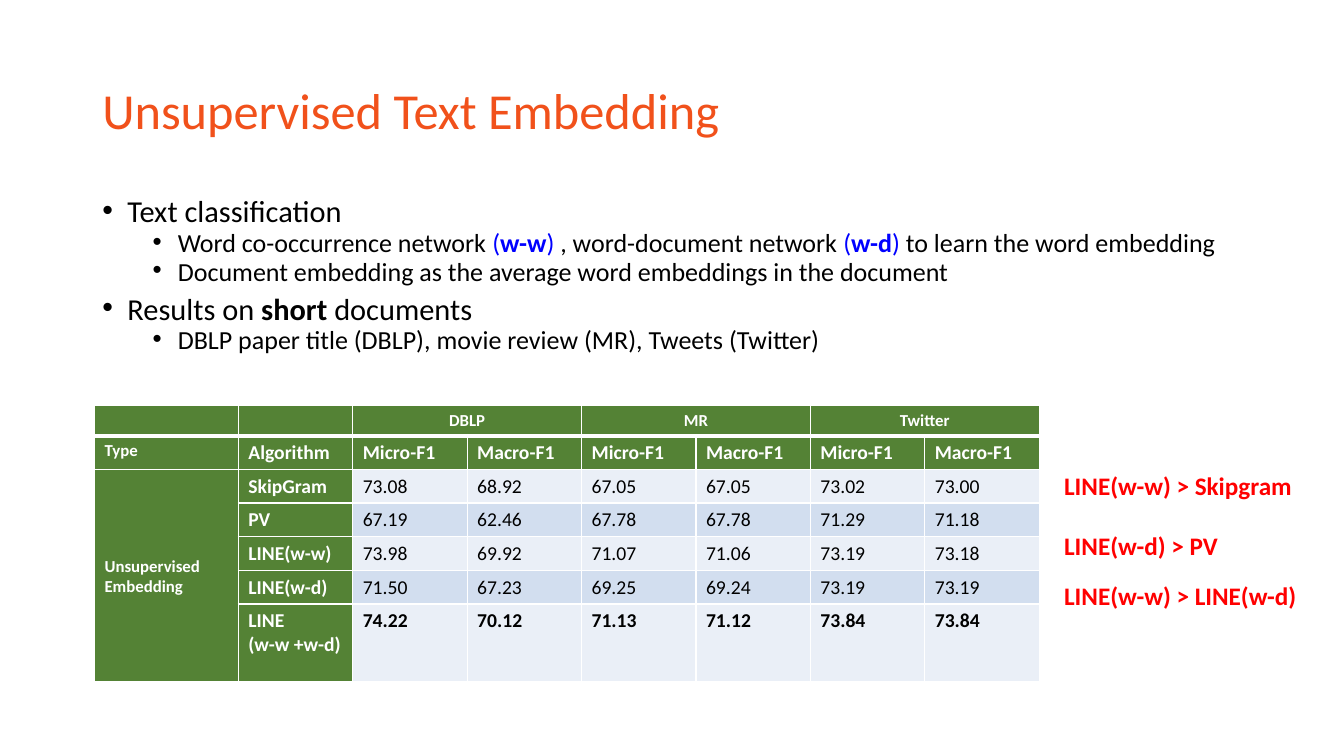
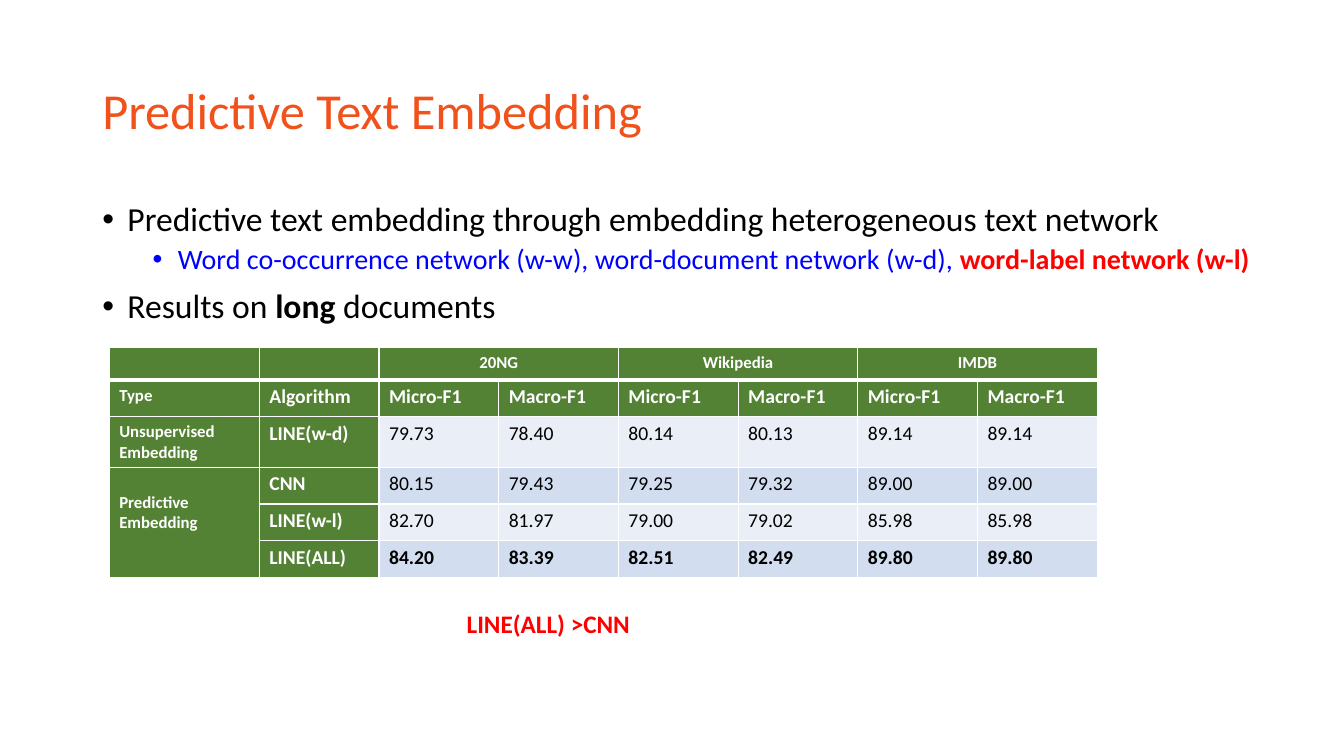
from dataclasses import dataclass

from lxml.etree import SubElement
from pptx import Presentation
from pptx.dml.color import RGBColor as RGB
from pptx.enum.text import MSO_ANCHOR as ANCHOR, PP_ALIGN as ALIGN
from pptx.oxml.ns import qn
from pptx.util import Pt

PX = 9525  # EMU per px, 96 px to the inch


@dataclass(frozen=True)
class Theme:
    font: str = "Calibri"
    title: str = "F1511B"
    text: str = "000000"
    blue: str = "0000FF"
    red: str = "FF0000"
    white: str = "FFFFFF"
    header: str = "548235"
    bands: tuple = ("EAEFF7", "D2DEEF")
    title_size: int = 36
    note_size: int = 18
    cell_size: int = 14
    small_size: int = 12


T = Theme()
SLIDES = [
    {
        "title": "Unsupervised Text Embedding",
        "sizes": (21.7, 18.6),
        "line_spacing": 0.7,
        "bullets": [
            (0, [("Text classification",)]),
            (1, [("Word co-occurrence network ",), ("(", T.blue), ("w-w", T.blue, True),
                 (") ", T.blue), (", word-document network ",), ("(", T.blue),
                 ("w-d", T.blue, True), (") ", T.blue), ("to learn the word embedding",)]),
            (1, [("Document embedding as the average word embeddings in the document",)]),
            (0, [("Results on ",), ("short", T.text, True), (" documents",)]),
            (1, [("DBLP paper title (DBLP), movie review (MR), Tweets (Twitter)",)]),
        ],
        "table_at": (90, 386),
        "cols": [137] + [109] * 7,
        "row_heights": [29] + [32] * 5 + [74],
        "type_top": 83,
        "data_sets": ["DBLP", "MR", "Twitter"],
        "rows": [
            ("Unsupervised\nEmbedding", "SkipGram", "73.08 68.92 67.05 67.05 73.02 73.00"),
            ("", "PV", "67.19 62.46 67.78 67.78 71.29 71.18"),
            ("", "LINE(w-w)", "73.98 69.92 71.07 71.06 73.19 73.18"),
            ("", "LINE(w-d)", "71.50 67.23 69.25 69.24 73.19 73.19"),
            ("", "LINE\n(w-w +w-d)", "74.22 70.12 71.13 71.12 73.84 73.84"),
        ],
        "notes": [
            ("LINE(w-w) > Skipgram", (1004, 443, 239, 38)),
            ("LINE(w-d) > PV", (1004, 500, 168, 38)),
            ("LINE(w-w) > LINE(w-d)", (1004, 548, 244, 38)),
        ],
    },
    {
        "title": "Predictive Text Embedding",
        "sizes": (24, 20),
        "line_spacing": 0.9,
        "bullets": [
            (0, [("Predictive text embedding through embedding heterogeneous text network",)]),
            (1, [("Word co-occurrence network (w-w), word-document network (w-d), ", T.blue),
                 ("word-label network (w-l)", T.red, True)]),
            (0, [("Results on ",), ("long", T.text, True), (" documents",)]),
        ],
        "table_at": (104, 331),
        "cols": [143] + [114] * 7,
        "row_heights": [31] + [35] * 5,
        "type_top": 24,
        "data_sets": ["20NG", "Wikipedia", "IMDB"],
        "rows": [
            ("Unsupervised\nEmbedding", "LINE(w-d)", "79.73 78.40 80.14 80.13 89.14 89.14"),
            ("Predictive\nEmbedding", "CNN", "80.15 79.43 79.25 79.32 89.00 89.00"),
            ("", "LINE(w-l)", "82.70 81.97 79.00 79.02 85.98 85.98"),
            ("", "LINE(ALL)", "84.20 83.39 82.51 82.49 89.80 89.80"),
        ],
        "notes": [("LINE(ALL) >CNN", (435, 575, 177, 38))],
    },
]


def add_run(p, size, text, color=T.text, bold=False):
    r = p.add_run()
    r.text = text
    r.font.name, r.font.size, r.font.bold = T.font, Pt(size), bold
    r.font.color.rgb = RGB.from_string(color)


def add_box(s, box, wrap=True, anchor=ANCHOR.TOP):
    tf = s.shapes.add_textbox(*(v * PX for v in box)).text_frame
    tf.word_wrap, tf.vertical_anchor = wrap, anchor
    return tf


prs = Presentation()
prs.slide_width, prs.slide_height = 1280 * PX, 720 * PX

for page in SLIDES:
    s = prs.slides.add_slide(prs.slide_layouts[6])

    # Title
    p = add_box(s, (88, 38, 1104, 139), anchor=ANCHOR.MIDDLE).paragraphs[0]
    p.line_spacing = 0.9
    add_run(p, T.title_size, page["title"], T.title)

    # Bullets
    tf = add_box(s, (88, 188, 1131, 180))
    for i, (level, runs) in enumerate(page["bullets"]):
        p = tf.add_paragraph() if i else tf.paragraphs[0]
        p.level = level
        pPr = p._p.get_or_add_pPr()
        pPr.set("marL", str((24 + 48 * level) * PX))
        pPr.set("indent", str(-24 * PX))
        SubElement(pPr, qn("a:buFont"), typeface="Arial")
        SubElement(pPr, qn("a:buChar"), char="•")
        p.line_spacing = page["line_spacing"]
        if i:
            p.space_before = Pt((10, 5)[level])
        for run in runs:
            add_run(p, page["sizes"][level], *run)

    # Table grid
    cols, heights = page["cols"], page["row_heights"]
    grid = [["", ""] + [c for name in page["data_sets"] for c in (name, "")],
            ["Type", "Algorithm"] + ["Micro-F1", "Macro-F1"] * 3]
    grid += [[kind, algorithm] + values.split() for kind, algorithm, values in page["rows"]]
    box = (*page["table_at"], sum(cols), sum(heights))
    tbl = s.shapes.add_table(len(grid), len(cols), *(v * PX for v in box)).table
    tbl.first_row = tbl.horz_banding = False
    for col, width in zip(tbl.columns, cols):
        col.width = width * PX
    for row, height in zip(tbl.rows, heights):
        row.height = height * PX

    # Table cells
    for y, texts in enumerate(grid):
        for x, text in enumerate(texts):
            cell = tbl.cell(y, x)
            is_header = y < 2 or x < 2
            tcPr = cell._tc.get_or_add_tcPr()
            for side in "LRTB":
                thick = (y, side) in ((0, "B"), (1, "T"))
                ln = SubElement(tcPr, qn("a:ln" + side), w=str(Pt(3 if thick else 1)))
                fill = SubElement(ln, qn("a:solidFill"))
                SubElement(fill, qn("a:srgbClr"), val=T.white)
            cell.fill.solid()
            cell.fill.fore_color.rgb = RGB.from_string(T.header if is_header else T.bands[y % 2])
            size = T.small_size if y == 0 or x == 0 else T.cell_size
            tf = cell.text_frame
            if not text:
                SubElement(tf.paragraphs[0]._p, qn("a:endParaRPr"), sz=str(size * 100))
                continue
            for i, line in enumerate(text.split("\n")):
                p = tf.add_paragraph() if i else tf.paragraphs[0]
                if y == 0:
                    p.alignment = ALIGN.CENTER
                add_run(p, size, line, T.white if is_header else T.text,
                        is_header or y == len(grid) - 1)

    # Merged headings: data sets across, embedding types down
    for x in range(2, len(cols), 2):
        tbl.cell(0, x).merge(tbl.cell(0, x + 1))
    starts = [y for y in range(2, len(grid)) if grid[y][0]]
    for first, following in zip(starts, starts[1:] + [len(grid)]):
        if following - first > 1:
            cell = tbl.cell(first, 0)
            cell.merge(tbl.cell(following - 1, 0))
            cell.margin_top = page["type_top"] * PX

    # Findings
    for text, box in page["notes"]:
        p = add_box(s, box, wrap=False).paragraphs[0]
        add_run(p, T.note_size, text, T.red, True)

prs.save("out.pptx")
